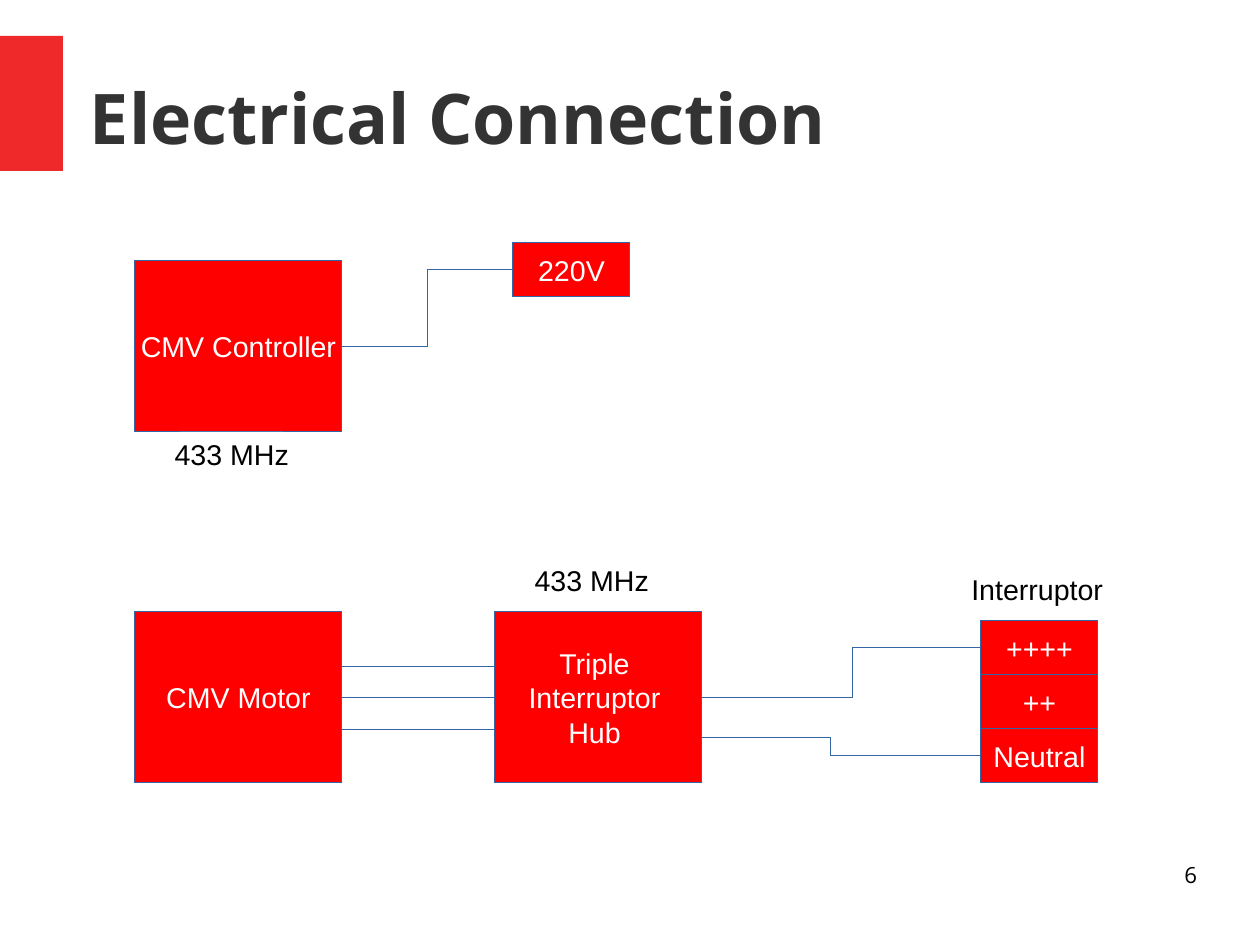
from dataclasses import dataclass
from typing import Optional

import pptx
import pptx.dml.color
import pptx.enum.shapes
import pptx.enum.text
import pptx.oxml.ns
import pptx.util
from lxml import etree

Cm = pptx.util.Cm
Pt = pptx.util.Pt
Align = pptx.enum.text.PP_ALIGN
Anchor = pptx.enum.text.MSO_ANCHOR
Kind = pptx.enum.shapes.MSO_CONNECTOR
RIGHT, LEFT = 3, 1
RED, BLUE, WHITE, BLACK = "FF0000", "3465A4", "FFFFFF", "000000"


@dataclass
class Block:
    text: str
    left: float
    top: float
    width: float
    height: float
    fill: str = RED
    line: Optional[str] = BLUE
    color: str = WHITE


@dataclass
class Wire:
    start: str
    end: str
    bend: Optional[float] = None  # share of the width where an elbow turns
    start_y: Optional[float] = None  # height in cm when off the side's middle
    end_y: Optional[float] = None


def color_of(value: str) -> pptx.dml.color.RGBColor:
    return pptx.dml.color.RGBColor.from_string(value)


def draw_hairline(shape, color: str) -> None:
    shape.line.color.rgb = color_of(color)
    # A zero width must be written out, or the theme's width applies
    shape._element.spPr.find(pptx.oxml.ns.qn("a:ln")).set("w", "0")


def write(shape, text: str, *, size: float = 18, font: str = "Arial", color: str = BLACK,
          bold: bool = False, align=Align.CENTER, anchor=Anchor.MIDDLE,
          wrap: bool = False, flush: bool = False) -> None:
    frame = shape.text_frame
    frame.word_wrap = wrap
    frame.vertical_anchor = anchor
    if flush:
        frame.margin_left = frame.margin_right = frame.margin_top = frame.margin_bottom = 0
    for index, words in enumerate(text.split("\n")):
        para = frame.paragraphs[0] if index == 0 else frame.add_paragraph()
        para.alignment = align
        span = para.add_run()
        span.text = words
        span.font.size, span.font.name, span.font.bold = Pt(size), font, bold
        span.font.color.rgb = color_of(color)


def draw_block(page, block: Block):
    box = page.shapes.add_shape(
        pptx.enum.shapes.MSO_SHAPE.RECTANGLE,
        Cm(block.left), Cm(block.top), Cm(block.width), Cm(block.height))
    box.shadow.inherit = False
    box.fill.solid()
    box.fill.fore_color.rgb = color_of(block.fill)
    if block.line:
        draw_hairline(box, block.line)
    else:
        box.line.fill.background()
    if block.text:
        write(box, block.text, color=block.color)
    return box


def draw_wire(page, wire: Wire, boxes: dict) -> None:
    start, end = boxes[wire.start], boxes[wire.end]
    start_y = start.top + start.height // 2 if wire.start_y is None else Cm(wire.start_y)
    end_y = end.top + end.height // 2 if wire.end_y is None else Cm(wire.end_y)
    kind = Kind.STRAIGHT if wire.bend is None else Kind.ELBOW
    line = page.shapes.add_connector(kind, start.left + start.width, start_y, end.left, end_y)
    if wire.start_y is None:
        line.begin_connect(start, RIGHT)
    if wire.end_y is None:
        line.end_connect(end, LEFT)
    draw_hairline(line, BLUE)
    name = pptx.oxml.ns.qn
    properties = line._element.spPr
    etree.SubElement(properties, name("a:effectLst"))
    if wire.bend is not None:
        geometry = properties.find(name("a:prstGeom"))
        values = geometry.find(name("a:avLst"))
        if values is None:
            values = etree.SubElement(geometry, name("a:avLst"))
        etree.SubElement(values, name("a:gd"), name="adj1", fmla=f"val {round(wire.bend * 100000)}")


def unit(text: str, left: float, top: float) -> Block:
    return Block(text, left, top, 4.6, 3.8)


def terminal(text: str, left: float, top: float) -> Block:
    return Block(text, left, top, 2.6, 1.2)


def label(text: str, left: float, top: float) -> Block:
    return Block(text, left, top, 2.3, 1, WHITE, None, BLACK)


BLOCKS = {
    "controller": unit("CMV Controller", 3, 5.8),
    "motor": unit("CMV Motor", 3, 13.6),
    "triple": unit("Triple \nInterruptor \nHub ", 11, 13.6),
    "supply": terminal("220V", 11.4, 5.4),
}
for row, mark in enumerate(["++++", "++", "Neutral"]):
    BLOCKS[mark] = terminal(mark, 21.8, 13.8 + 1.2 * row)

LABELS = [
    label("433 MHz", 12, 12.4),
    label("433 MHz", 4, 9.6),
    label("Interruptor", 21.9, 12.6),
]

WIRES = [
    Wire("controller", "supply", bend=0.5),
    Wire("motor", "triple"),
    *[Wire("motor", "triple", start_y=y, end_y=y) for y in (14.8, 16.2)],
    Wire("triple", "++++", bend=0.54),
    Wire("triple", "Neutral", bend=0.46, start_y=16.4),
]


def main() -> None:
    deck = pptx.Presentation()
    deck.slide_width, deck.slide_height = Cm(28), Cm(21)
    page = deck.slides.add_slide(deck.slide_layouts[6])

    # Heading
    draw_block(page, Block("", 0, 0.8, 1.4, 3, "EF2929", None))
    title = page.shapes.add_textbox(Cm(2), Cm(0.4), Cm(26), Cm(4.4))
    write(title, "Electrical Connection", size=44, font="Open Sans", color="333333",
          bold=True, align=Align.LEFT, wrap=True, flush=True)

    # Wiring diagram
    boxes = {key: draw_block(page, block) for key, block in BLOCKS.items()}
    for caption in LABELS:
        draw_block(page, caption)
    for wire in WIRES:
        draw_wire(page, wire, boxes)

    # Page number
    number = page.shapes.add_textbox(Cm(20.08), Cm(19.13), Cm(6.52), Cm(1.45))
    write(number, "6", size=14, font="Open Sans", align=Align.RIGHT,
          anchor=Anchor.TOP, wrap=True, flush=True)

    deck.save("out.pptx")


if __name__ == "__main__":
    main()
